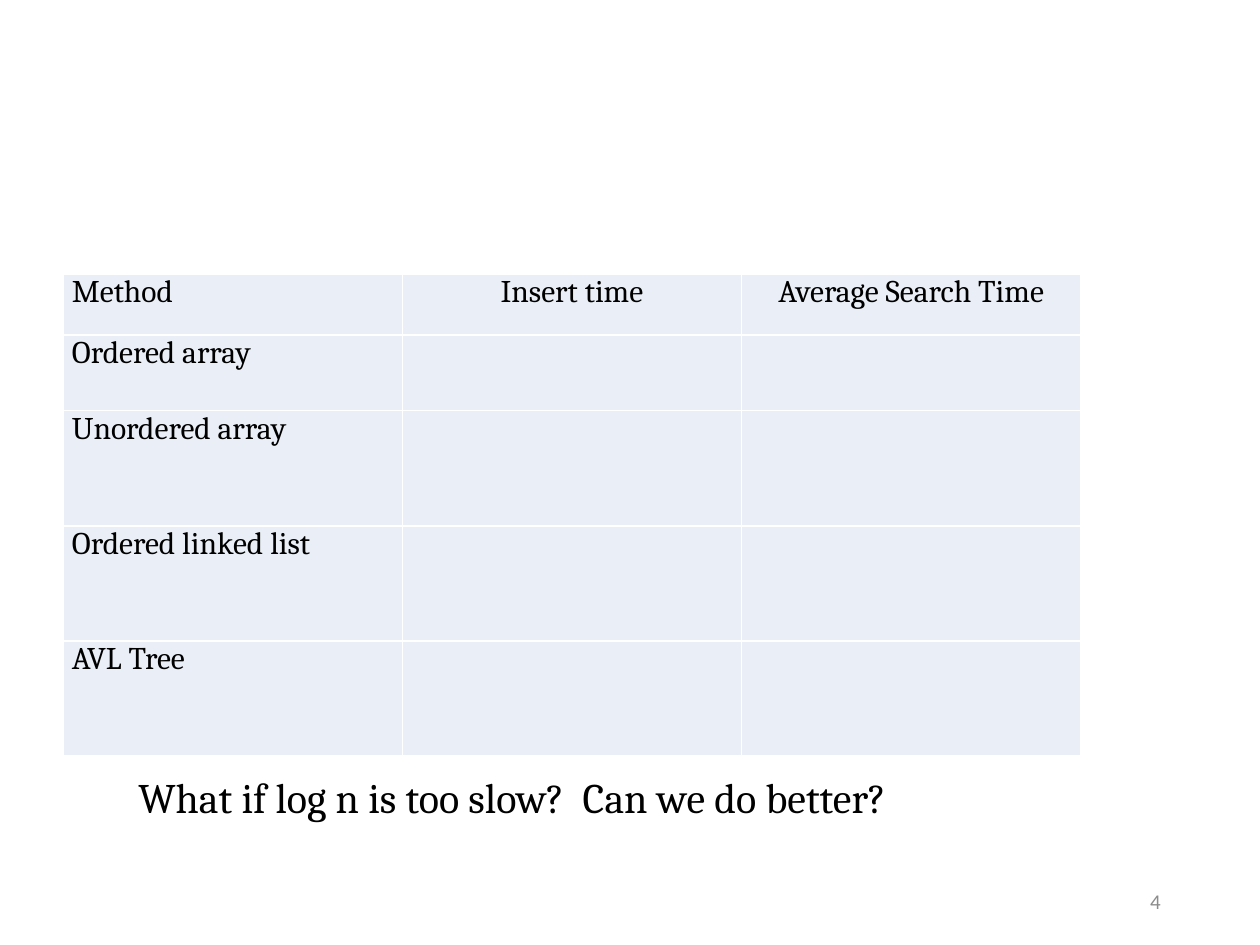
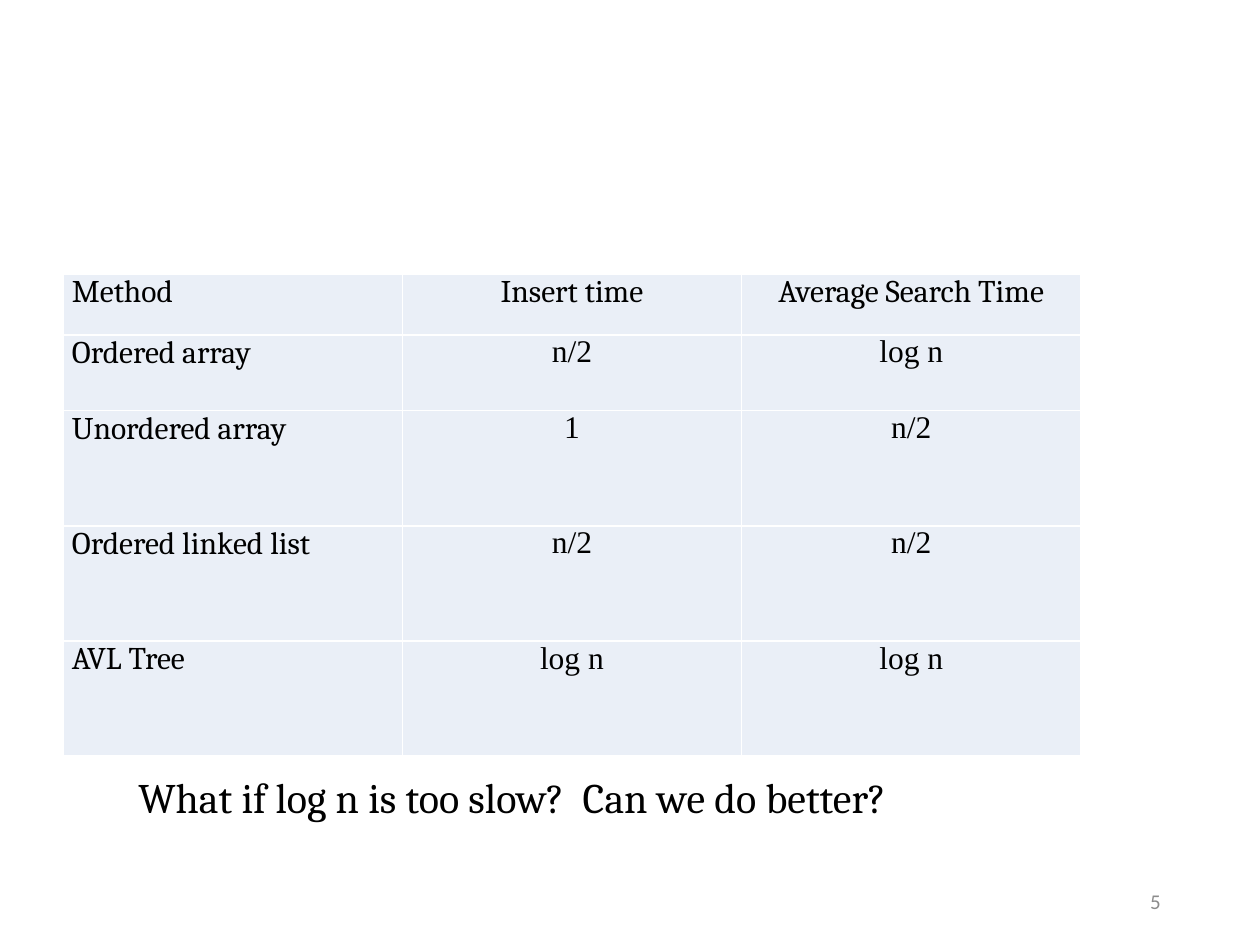
from lxml import etree
from pptx import Presentation
from pptx.dml.color import RGBColor
from pptx.enum import text
from pptx.oxml import ns
from pptx.util import Cm, Pt

BLACK = RGBColor(0x00, 0x00, 0x00)
GREY = RGBColor(0x8C, 0x8C, 0x8C)
WHITE = RGBColor(0xFF, 0xFF, 0xFF)
PALE_BLUE = RGBColor(0xEA, 0xEF, 0xF7)

HEADING_FONT = "Cambria"
VALUE_FONT = "Times New Roman"
NUMBER_FONT = "Calibri"

TABLE_BOX = (Cm(1.27), Cm(5.52), Cm(20.52), Cm(9.72))
QUESTION_BOX = (Cm(2.54), Cm(15.42), Cm(15.95), Cm(1.27))
NUMBER_BOX = (Cm(17.93), Cm(17.65), Cm(5.72), Cm(1.02))

ROW_HEIGHTS = (Cm(1.23), Cm(1.53), Cm(2.32), Cm(2.32), Cm(2.32))
HEADINGS = ("Method", "Insert time", "Average Search Time")
METHODS = ("Ordered array", "Unordered array", "Ordered linked list", "AVL Tree")
TIMES = (("n/2", "log n"), ("1", "n/2"), ("n/2", "n/2"), ("log n", "log n"))
NO_TIMES = (("", ""),) * len(METHODS)
QUESTION = "What if log n is too slow?  Can we do better?"


def write(paragraph, words, font_name, size, color=BLACK, alignment=text.PP_ALIGN.LEFT):
    paragraph.text = words
    paragraph.alignment = alignment
    paragraph.font.name = font_name
    paragraph.font.size = Pt(size)
    paragraph.font.color.rgb = color


def add_borders(cell):
    properties = cell._tc.get_or_add_tcPr()
    for side in ("lnL", "lnR", "lnT", "lnB"):
        line = etree.SubElement(properties, ns.qn(f"a:{side}"), w=str(Pt(1)))
        fill = etree.SubElement(line, ns.qn("a:solidFill"))
        etree.SubElement(fill, ns.qn("a:srgbClr"), val=str(WHITE))


def style_cell(cell):
    add_borders(cell)
    cell.fill.solid()
    cell.fill.fore_color.rgb = PALE_BLUE
    cell.margin_left = cell.margin_right = Cm(0.18)
    cell.margin_top = cell.margin_bottom = 0


def add_times_table(slide, box, times):
    rows = [HEADINGS] + [(method, *pair) for method, pair in zip(METHODS, times)]
    table = slide.shapes.add_table(len(rows), len(HEADINGS), *box).table
    table.first_row = table.horz_banding = False
    for row, height in zip(table.rows, ROW_HEIGHTS):
        row.height = height
    for row_index, row in enumerate(rows):
        for column_index, words in enumerate(row):
            cell = table.cell(row_index, column_index)
            style_cell(cell)
            is_value = row_index > 0 and column_index > 0
            write(
                cell.text_frame.paragraphs[0],
                words,
                VALUE_FONT if is_value else HEADING_FONT,
                18,
                alignment=text.PP_ALIGN.CENTER if column_index else text.PP_ALIGN.LEFT,
            )


def add_question(slide, box):
    frame = slide.shapes.add_textbox(*box).text_frame
    frame.word_wrap = False
    frame.auto_size = text.MSO_AUTO_SIZE.SHAPE_TO_FIT_TEXT
    write(frame.paragraphs[0], QUESTION, HEADING_FONT, 24)


def add_slide_number(slide, box, number):
    frame = slide.shapes.add_textbox(*box).text_frame
    frame.word_wrap = True
    frame.vertical_anchor = text.MSO_ANCHOR.MIDDLE
    write(frame.paragraphs[0], str(number), NUMBER_FONT, 12, GREY, text.PP_ALIGN.RIGHT)


def add_comparison_slide(presentation, number, times):
    slide = presentation.slides.add_slide(presentation.slide_layouts[6])
    add_slide_number(slide, NUMBER_BOX, number)
    add_times_table(slide, TABLE_BOX, times)
    add_question(slide, QUESTION_BOX)


def main():
    presentation = Presentation()
    presentation.slide_width = Cm(25.4)
    presentation.slide_height = Cm(19.05)
    for number, times in enumerate((NO_TIMES, TIMES), start=4):
        add_comparison_slide(presentation, number, times)
    presentation.save("out.pptx")


if __name__ == "__main__":
    main()
